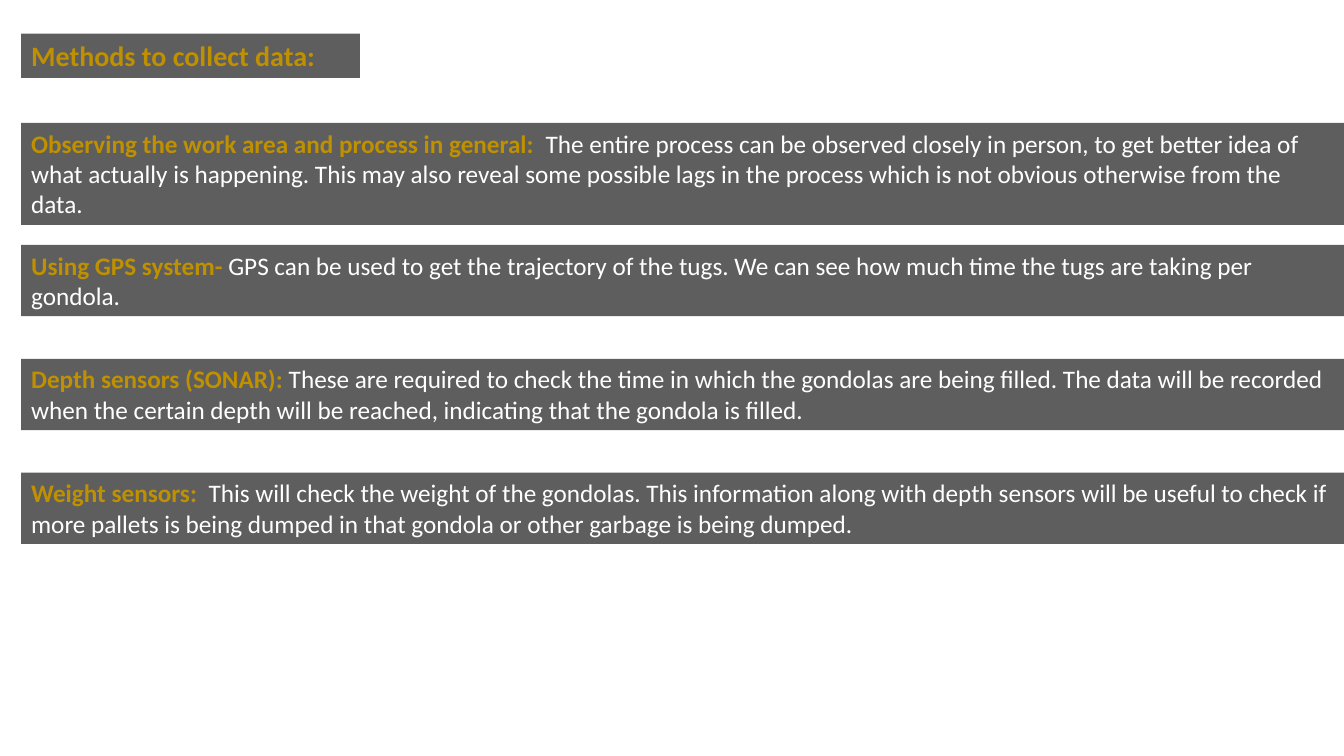
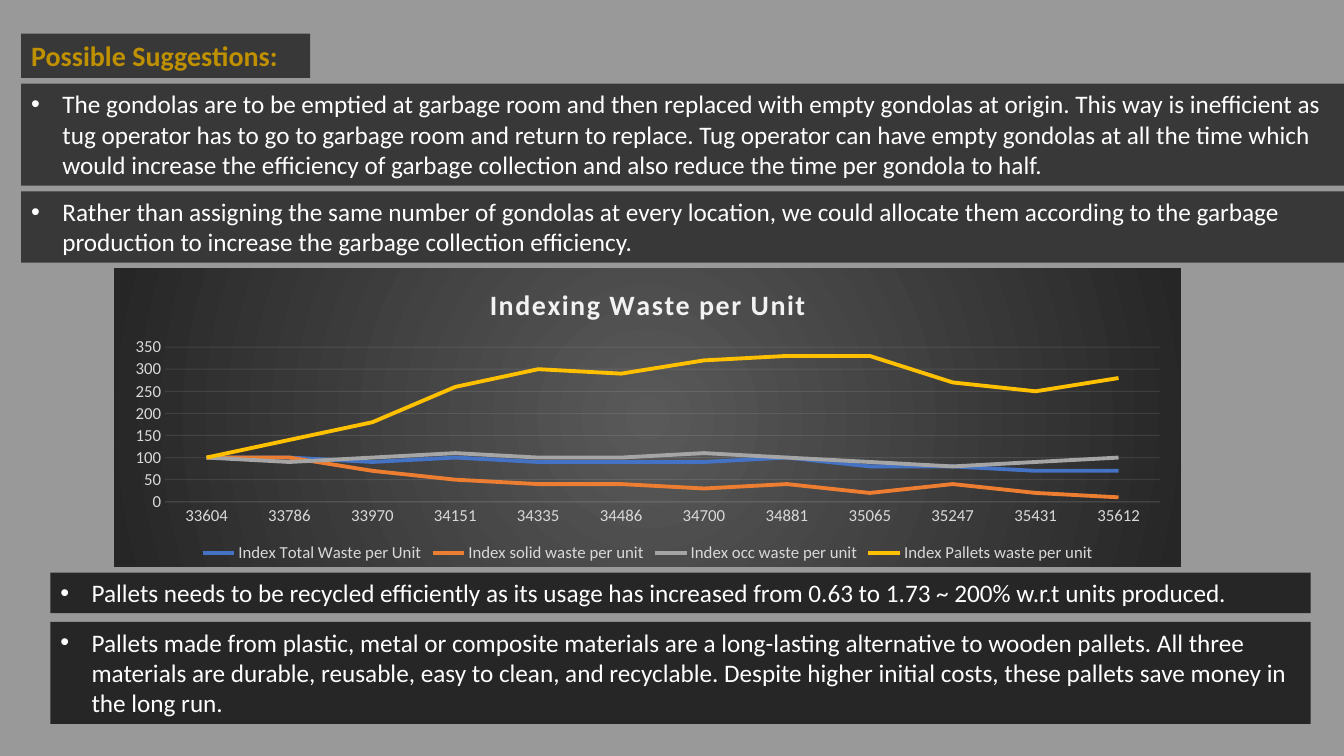
"""Build two slides on collecting gondola data and improving waste handling."""
import pptx
import pptx.chart.data
import pptx.dml.color
import pptx.enum.chart
import pptx.enum.shapes
import pptx.enum.text
import pptx.oxml
import pptx.oxml.ns
import pptx.util

FONT = "Calibri"
BLACK, WHITE, GOLD = "000000", "FFFFFF", "BF9000"
GRID, LABEL = "F2F2F2", "D9D9D9"
MARGIN, FULL_WIDTH = 1.58, 98.5
TITLE_TOP, TITLE_HEIGHT = 4.44, 5.87
LINE_HEIGHT, BAND_PADDING = 4.05, 1.33

presentation = pptx.Presentation()
presentation.slide_width = pptx.util.Inches(13.33)
presentation.slide_height = pptx.util.Inches(7.5)


def paint(fill, color, opacity=100):
    """Give a fill one colour and, if asked, some transparency."""
    fill.solid()
    fill.fore_color.rgb = pptx.dml.color.RGBColor.from_string(color)
    if opacity < 100:
        color_element = fill._xPr.find(".//" + pptx.oxml.ns.qn("a:srgbClr"))
        alpha = pptx.oxml.parse_xml(f'<a:alpha {pptx.oxml.ns.nsdecls("a")} val="{opacity * 1000}"/>')
        color_element.append(alpha)


def add_band(slide, box, opacity, lead="", body="", size=18, bullet=False):
    """Add a translucent band; box is left, top, width, height in percent of the slide."""
    left, top, width, height = box
    shape = slide.shapes.add_shape(
        pptx.enum.shapes.MSO_SHAPE.RECTANGLE,
        round(presentation.slide_width * left / 100),
        round(presentation.slide_height * top / 100),
        round(presentation.slide_width * width / 100),
        round(presentation.slide_height * height / 100),
    )
    shape.shadow.inherit = False
    shape.line.fill.background()
    paint(shape.fill, BLACK, opacity)
    if not lead and not body:
        return
    text_frame = shape.text_frame
    text_frame.word_wrap = True
    text_frame.auto_size = pptx.enum.text.MSO_AUTO_SIZE.SHAPE_TO_FIT_TEXT
    text_frame.vertical_anchor = pptx.enum.text.MSO_ANCHOR.TOP
    paragraph = text_frame.paragraphs[0]
    paragraph.alignment = pptx.enum.text.PP_ALIGN.LEFT
    for text, color, bold in ((lead, GOLD, True), (body, WHITE, False)):
        if text:
            run = paragraph.add_run()
            run.text = text
            run.font.name = FONT
            run.font.size = pptx.util.Pt(size)
            run.font.bold = bold
            paint(run.font.fill, color)
    if bullet:
        properties = paragraph._p.get_or_add_pPr()
        indent = pptx.util.Inches(0.31)
        properties.set("marL", str(indent))
        properties.set("indent", str(-indent))
        for tag in ('buFont {} typeface="Arial"', 'buChar {} char="•"'):
            properties.append(pptx.oxml.parse_xml(f'<a:{tag.format(pptx.oxml.ns.nsdecls("a"))}/>'))


blank_layout = presentation.slide_layouts[6]
methods_slide = presentation.slides.add_slide(blank_layout)
suggestions_slide = presentation.slides.add_slide(blank_layout)
add_band(suggestions_slide, (0, 0, 100, 100), 40)

for slide, title, width in (
    (methods_slide, "Methods to collect data:", 25.2),
    (suggestions_slide, "Possible Suggestions:", 21.5),
):
    add_band(slide, (MARGIN, TITLE_TOP, width, TITLE_HEIGHT), 63, lead=title, size=20)

methods = [
    (16.27, 3, "Observing the work area and process in general:  ",
     "The entire process can be observed closely in person, to get better idea of what actually is "
     "happening. This may also reveal some possible lags in the process which is not obvious "
     "otherwise from the data."),
    (32.4, 2, "Using GPS system- ",
     "GPS can be used to get the trajectory of the tugs. We can see how much time the tugs are "
     "taking per gondola."),
    (47.47, 2, "Depth sensors (SONAR): ",
     "These are required to check the time in which the gondolas are being filled. The data will be "
     "recorded when the certain depth will be reached, indicating that the gondola is filled."),
    (62.53, 2, "Weight sensors: ",
     " This will check the weight of the gondolas. This information along with depth sensors will be "
     "useful to check if more pallets is being dumped in that gondola or other garbage is being dumped."),
]
for top, lines, lead, body in methods:
    height = BAND_PADDING + lines * LINE_HEIGHT
    add_band(methods_slide, (MARGIN, top, FULL_WIDTH, height), 63, lead, body)

suggestions = [
    (MARGIN, 11.07, FULL_WIDTH, 3, 63,
     "The gondolas are to be emptied at garbage room and then replaced with empty gondolas at origin. "
     "This way is inefficient as tug operator has to go to garbage room and return to replace. Tug "
     "operator can have empty gondolas at all the time which would increase the efficiency of garbage "
     "collection and also reduce the time per gondola to half."),
    (MARGIN, 25.33, FULL_WIDTH, 2, 63,
     "Rather than assigning the same number of gondolas at every location, we could allocate them "
     "according to the garbage production to increase the garbage collection efficiency."),
    (3.75, 75.73, 93.77, 1, 75,
     "Pallets needs to be recycled efficiently as its usage has increased from 0.63 to 1.73 ~ 200% "
     "w.r.t units produced."),
    (3.75, 82.27, 93.77, 3, 75,
     "Pallets made from plastic, metal or composite materials are a long-lasting alternative to wooden "
     "pallets. All three materials are durable, reusable, easy to clean, and recyclable. Despite higher "
     "initial costs, these pallets save money in the long run."),
]
for left, top, width, lines, opacity, body in suggestions:
    height = BAND_PADDING + lines * LINE_HEIGHT
    add_band(suggestions_slide, (left, top, width, height), opacity, body=body, bullet=True)

waste_series = [
    ("Index Total Waste per Unit", "4472C4", (100, 100, 90, 100, 90, 90, 90, 100, 80, 80, 70, 70)),
    ("Index solid waste per unit", "ED7D31", (100, 100, 70, 50, 40, 40, 30, 40, 20, 40, 20, 10)),
    ("Index occ waste per unit", "A5A5A5", (100, 90, 100, 110, 100, 100, 110, 100, 90, 80, 90, 100)),
    ("Index Pallets waste per unit", "FFC000",
     (100, 140, 180, 260, 300, 290, 320, 330, 330, 270, 250, 280)),
]
chart_data = pptx.chart.data.CategoryChartData()
chart_data.categories = ("33604 33786 33970 34151 34335 34486 "
                         "34700 34881 35065 35247 35431 35612").split()
for name, color, values in waste_series:
    chart_data.add_series(name, values)
chart = suggestions_slide.shapes.add_chart(
    pptx.enum.chart.XL_CHART_TYPE.LINE,
    round(presentation.slide_width * 0.085),
    round(presentation.slide_height * 0.355),
    round(presentation.slide_width * 0.794),
    round(presentation.slide_height * 0.395),
    chart_data,
).chart
chart.font.name = FONT
chart.font.size = pptx.util.Pt(12)
paint(chart.font.fill, LABEL)

chart.has_title = True
chart.chart_title.include_in_layout = False
chart.chart_title.text_frame.text = "Indexing Waste per Unit"
title_run = chart.chart_title.text_frame.paragraphs[0].runs[0]
title_run.font.name = FONT
title_run.font.size = pptx.util.Pt(20)
title_run.font.bold = True
paint(title_run.font.fill, GRID)
title_run._r.get_or_add_rPr().set("spc", "100")

chart.has_legend = True
chart.legend.position = pptx.enum.chart.XL_LEGEND_POSITION.BOTTOM
chart.legend.include_in_layout = False

for axis in (chart.category_axis, chart.value_axis):
    axis.major_tick_mark = pptx.enum.chart.XL_TICK_MARK.NONE
    axis.minor_tick_mark = pptx.enum.chart.XL_TICK_MARK.NONE
chart.value_axis.minimum_scale = 0
chart.value_axis.maximum_scale = 350
chart.value_axis.major_unit = 50
chart.value_axis.format.line.fill.background()
for line in (chart.category_axis.format.line, chart.value_axis.major_gridlines.format.line):
    line.width = pptx.util.Pt(0.75)
    paint(line.fill, GRID, 10)

chart.plots[0].vary_by_categories = False
for series, (name, color, values) in zip(chart.plots[0].series, waste_series):
    series.smooth = False
    series.format.line.width = pptx.util.Pt(2.75)
    paint(series.format.line.fill, color)

chart_background = pptx.oxml.parse_xml(
    f'<c:spPr {pptx.oxml.ns.nsdecls("c", "a")}><a:gradFill><a:gsLst>'
    '<a:gs pos="0"><a:srgbClr val="595959"/></a:gs>'
    '<a:gs pos="100000"><a:srgbClr val="262626"/></a:gs></a:gsLst>'
    '<a:path path="circle"><a:fillToRect l="50000" t="50000" r="50000" b="50000"/></a:path>'
    '</a:gradFill><a:ln><a:noFill/></a:ln></c:spPr>'
)
chart._chartSpace.find(pptx.oxml.ns.qn("c:chart")).addnext(chart_background)

presentation.save("out.pptx")
